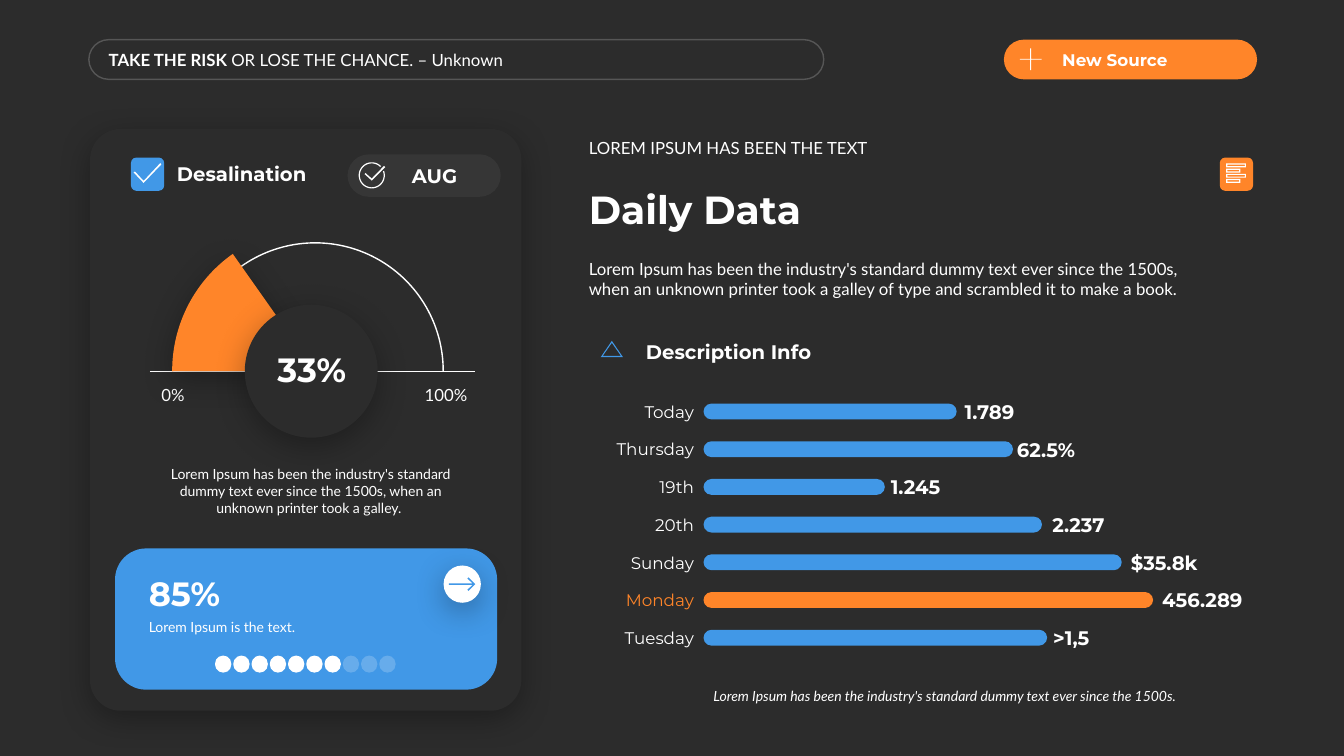
from math import cos, radians, sin

from lxml import etree
from pptx import Presentation
from pptx.dml.color import RGBColor
from pptx.enum.shapes import MSO_CONNECTOR, MSO_SHAPE
from pptx.enum.text import MSO_ANCHOR, MSO_AUTO_SIZE, PP_ALIGN
from pptx.oxml.ns import qn
from pptx.util import Cm, Pt

DARK = RGBColor(0x2C, 0x2C, 0x2C)
WHITE = RGBColor(0xFF, 0xFF, 0xFF)
BLACK = RGBColor(0, 0, 0)
ORANGE = RGBColor(0xFF, 0x85, 0x29)
BLUE = RGBColor(0x41, 0x98, 0xE7)

ROUND = MSO_SHAPE.ROUNDED_RECTANGLE
OVAL = MSO_SHAPE.OVAL
ARC = MSO_SHAPE.ARC
CROSS = MSO_SHAPE.CROSS
STRAIGHT = MSO_CONNECTOR.STRAIGHT
LEFT, MID, RIGHT = PP_ALIGN.LEFT, PP_ALIGN.CENTER, PP_ALIGN.RIGHT
TOP, CENTER, BOTTOM = MSO_ANCHOR.TOP, MSO_ANCHOR.MIDDLE, MSO_ANCHOR.BOTTOM
GROW = MSO_AUTO_SIZE.SHAPE_TO_FIT_TEXT


class Board:
    """Draws on one slide; all lengths are in centimetres."""

    head = "Montserrat"
    body = "Lato"

    def __init__(self, slide):
        self.slide = slide
        self.shapes = slide.shapes
        slide.background.fill.solid()
        slide.background.fill.fore_color.rgb = DARK

    def shape(self, kind, box, fill=None, line=None, adj=(), alpha=100, glow=False):
        item = self.shapes.add_shape(kind, *map(Cm, box))
        for i, value in enumerate(adj):
            item.adjustments[i] = value
        return self.paint(item, fill, line, alpha, glow)

    def paint(self, item, fill, line=None, alpha=100, glow=False):
        """Set fill, line, opacity in percent and an optional soft shadow."""
        if fill is None:
            item.fill.background()
        else:
            item.fill.solid()
            item.fill.fore_color.rgb = fill
        if line is None:
            item.line.fill.background()
        else:
            item.line.color.rgb = line
            item.line.width = Pt(1)
        if alpha < 100:
            for color in item._element.spPr.iter(qn("a:srgbClr")):
                self.fade(color, alpha)
        item.shadow.inherit = False
        if glow:
            effects = item._element.spPr.find(qn("a:effectLst"))
            shade = etree.SubElement(
                effects, qn("a:outerShdw"), blurRad=str(Pt(23)), dist=str(Pt(6)),
                dir="5400000", algn="t", rotWithShape="0")
            color = etree.SubElement(shade, qn("a:srgbClr"), val=str(BLACK))
            self.fade(color, 30)
        return item

    def fade(self, color, alpha):
        etree.SubElement(color, qn("a:alpha"), val=str(alpha * 1000))

    def icon(self, fill, *loops):
        """Draw closed loops of points as one filled outline."""
        pen = None
        for loop in loops:
            start, *rest = [(Cm(x), Cm(y)) for x, y in loop]
            if pen is None:
                pen = self.shapes.build_freeform(*start)
            else:
                pen.move_to(*start)
            pen.add_line_segments(rest, close=True)
        return self.paint(pen.convert_to_shape(), fill)

    def rule(self, x1, y1, x2, y2):
        item = self.shapes.add_connector(STRAIGHT, *map(Cm, (x1, y1, x2, y2)))
        item.line.color.rgb = WHITE
        item.line.width = Pt(1)
        etree.SubElement(item._element.spPr, qn("a:effectLst"))

    def text(self, box, words, size, font=body, color=WHITE, bold=False, italic=False,
             align=LEFT, anchor=TOP, pad=0.25, rim=0.13, after=0):
        frame = self.shapes.add_textbox(*map(Cm, box)).text_frame
        frame.word_wrap = True
        frame.auto_size = GROW
        frame.vertical_anchor = anchor
        frame.margin_left = frame.margin_right = Cm(pad)
        frame.margin_top = frame.margin_bottom = Cm(rim)
        par = frame.paragraphs[0]
        par.text = words
        par.alignment = align
        par.space_after = Pt(after)
        par.font.name, par.font.size = font, Pt(size)
        par.font.bold, par.font.italic = bold, italic
        par.font.color.rgb = color
        return par

    def title(self, box, words, size, **style):
        style = {"anchor": CENTER, "bold": True, **style}
        return self.text(box, words, size, self.head, **style)


def frame_loops(x, y, wide, high, edge):
    """Outer and inner rectangle of a hollow bar."""
    return [[(x + d, y + d), (x + wide - d, y + d),
             (x + wide - d, y + high - d), (x + d, y + high - d)] for d in (0, edge)]


def ring(x, y, outer, inner, first, last):
    """Outline of an open ring, angles in degrees clockwise."""
    turns = [radians(a) for a in range(first, last + 1, 5)]
    return ([(x + outer * cos(t), y + outer * sin(t)) for t in turns]
            + [(x + inner * cos(t), y + inner * sin(t)) for t in reversed(turns)])


def draw_top(board):
    board.shape(ROUND, (2.24, 1, 18.52, 1), line=WHITE, adj=[0.5], alpha=20)
    quote = board.text((2.64, 1.12, 16.54, 0.76), "TAKE THE RISK ", 12,
                       anchor=CENTER, pad=0.1)
    quote.runs[0].font.bold = True
    quote.add_run().text = "OR LOSE THE CHANCE. – Unknown"
    board.shape(ROUND, (25.3, 1, 6.38, 1), ORANGE, adj=[0.5])
    board.title((26.52, 1.12, 5.13, 0.76), "New Source", 12)
    board.shape(CROSS, (25.7, 1.22, 0.55, 0.55), WHITE, adj=[0.48])


def draw_card(board):
    board.shape(ROUND, (2.27, 3.25, 10.87, 14.66), DARK, adj=[0.071], glow=True)
    board.shape(ROUND, (3.3, 3.97, 0.84, 0.84), BLUE)
    board.icon(WHITE, [(4.07, 4.14), (4.04, 4.11), (3.62, 4.56),
                       (3.4, 4.32), (3.37, 4.35), (3.62, 4.61)])
    board.title((4.21, 3.95, 4.04, 0.86), "Desalination", 14)
    board.shape(ROUND, (8.76, 3.89, 3.86, 1.07), WHITE, adj=[0.5], alpha=5)
    board.icon(WHITE, [(9.37, 4.5), (9.21, 4.36), (9.19, 4.39),
                       (9.37, 4.55), (9.71, 4.21), (9.68, 4.18)],
               ring(9.37, 4.42, 0.33, 0.3, -20, 315))
    board.title((10.13, 3.99, 2.21, 0.86), "AUG", 14)

    board.shape(ARC, (4.72, 6.12, 6.45, 6.45), line=WHITE, adj=[107.89, 0])
    board.rule(3.78, 9.36, 11.96, 9.36)
    for x, mark in ((3.66, "0%"), (10.54, "100%")):
        board.text((x, 9.69, 1.4, 0.51), mark, 12, align=MID, anchor=CENTER,
                   pad=0, rim=0)
    board.shape(ARC, (4.34, 5.74, 7.21, 7.21), ORANGE, adj=[107.89, 140.88], glow=True)
    board.text((3.6, 11.6, 8.46, 1.55),
               "Lorem Ipsum has been the industry's standard dummy text ever since "
               "the 1500s, when an unknown printer took a galley. ", 10,
               align=MID, after=6)
    board.shape(OVAL, (6.17, 7.68, 3.35, 3.35), DARK, glow=True)
    board.title((5.97, 8.66, 3.78, 1.27), "33%", 24, align=MID)


def draw_score(board):
    board.shape(ROUND, (2.9, 13.82, 9.63, 3.56), BLUE, adj=[0.22])
    board.text((3.5, 15.46, 5.08, 0.69), "Lorem Ipsum is the text.", 10)
    board.title((3.5, 14.31, 5.08, 1.27), "85%", 24, anchor=BOTTOM)
    for i in range(10):
        board.shape(ROUND, (5.42 + 0.46 * i, 16.52, 0.41, 0.43), WHITE,
                    adj=[0.5], alpha=100 if i < 7 else 20)
    board.shape(OVAL, (11.18, 14.25, 0.94, 0.94), WHITE, glow=True)
    board.icon(BLUE, [(11.98, 14.72), (11.81, 14.55), (11.78, 14.58), (11.91, 14.7),
                      (11.31, 14.7), (11.31, 14.74), (11.91, 14.74),
                      (11.78, 14.86), (11.81, 14.89)])


def draw_data(board):
    board.text((14.59, 3.34, 15.8, 0.76), "LOREM IPSUM HAS BEEN THE TEXT", 12,
               anchor=BOTTOM)
    board.title((14.59, 4.54, 15.8, 1.45), "Daily Data", 28, anchor=BOTTOM)
    board.text((14.59, 6.39, 15.8, 1.27),
               "Lorem Ipsum has been the industry's standard dummy text ever since "
               "the 1500s, when an unknown printer took a galley of type and "
               "scrambled it to make a book.", 12, after=6)
    board.shape(ROUND, (30.74, 3.97, 0.84, 0.84), ORANGE)
    rows = [frame_loops(30.9, 4.12 + 0.13 * i, wide, 0.1, 0.03)
            for i, wide in enumerate((0.5, 0.36) * 2)]
    board.icon(WHITE, *sum(rows, []))
    board.title((16.03, 8.43, 12.6, 0.86), "Description Info", 14, anchor=BOTTOM)
    board.icon(BLUE, [(15.42, 8.59), (15.7, 9), (15.14, 9)],
               [(15.42, 8.64), (15.65, 8.97), (15.19, 8.97)])

    days = (("Today", 6.38, 24.31, "1.789"), ("Thursday", 7.8, 25.63, "62.5%"),
            ("19th", 4.57, 22.45, "1.245"), ("20th", 8.53, 26.52, "2.237"),
            ("Sunday", 10.54, 28.5, "$35.8k"), ("Monday", 11.33, 29.29, "456.289"),
            ("Tuesday", 8.66, 26.54, ">1,5"))
    for i, (day, wide, x, value) in enumerate(days):
        y = 10.37 + 0.95 * i
        peak = day == "Monday"
        board.shape(ROUND, (17.73, y - 0.2, wide, 0.4),
                    ORANGE if peak else BLUE, adj=[0.5])
        board.title((14.87, y - 0.38, 2.62, 0.76), day, 12, bold=False,
                    color=ORANGE if peak else WHITE, align=RIGHT, pad=0)
        board.title((x, y - 0.43, 3.43, 0.86), value, 14, pad=0)
    board.text((17.73, 17.2, 13.82, 0.69),
               "Lorem Ipsum has been the industry's standard dummy text ever since "
               "the 1500s.", 10, italic=True, after=6)


def main():
    deck = Presentation()
    deck.slide_width, deck.slide_height = Cm(33.87), Cm(19.05)
    board = Board(deck.slides.add_slide(deck.slide_layouts[6]))
    for draw in (draw_top, draw_card, draw_score, draw_data):
        draw(board)
    deck.save("out.pptx")


if __name__ == "__main__":
    main()
